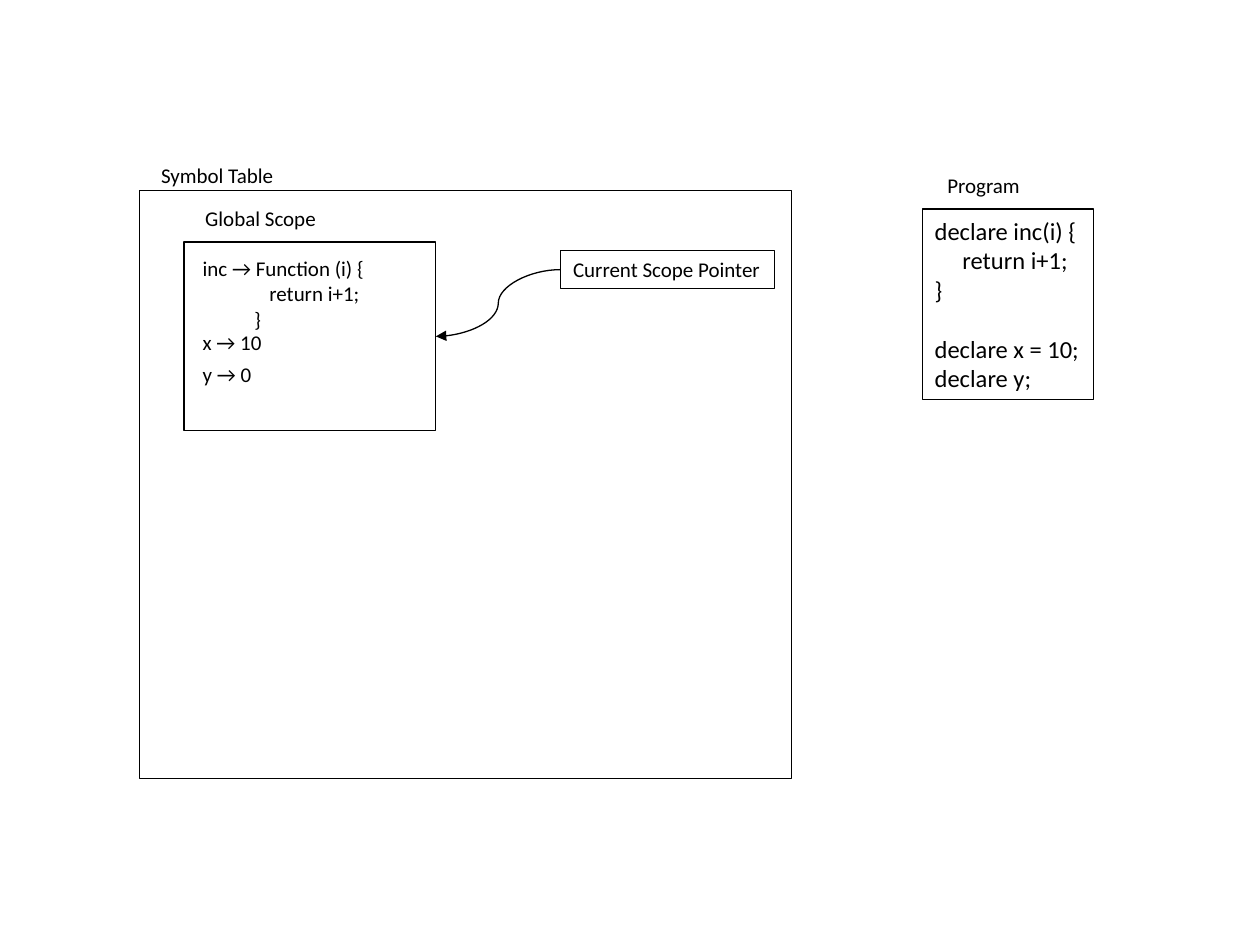
import pptx
import pptx.util
import pptx.dml.color
import pptx.enum.shapes
import pptx.enum.text
import pptx.oxml
import pptx.oxml.ns
import lxml.etree

COLUMNS, ROWS = 100, 75


def color(hex_string):
    return pptx.dml.color.RGBColor.from_string(hex_string)


class Diagram:
    """Style and current slide; positions are grid columns and rows."""

    font, ink, line_width = "Calibri", "000000", 0.75

    def __init__(self, presentation):
        self.slide = presentation.slides.add_slide(presentation.slide_layouts[6])
        self.column = presentation.slide_width / COLUMNS
        self.row = presentation.slide_height / ROWS

    def place(self, left, top, width, height):
        return (round(left * self.column), round(top * self.row),
                round(width * self.column), round(height * self.row))

    def outline(self, line):
        line.color.rgb = color(self.ink)
        line.width = pptx.util.Pt(self.line_width)

    def box(self, *area, lines=(), size=12):
        shape = self.slide.shapes.add_shape(
            pptx.enum.shapes.MSO_SHAPE.RECTANGLE, *self.place(*area))
        shape.shadow.inherit = False
        shape.fill.background()
        self.outline(shape.line)
        if lines:
            self.set_lines(shape.text_frame, lines, size)
        return shape

    def label(self, *area, lines, size=12):
        text_box = self.slide.shapes.add_textbox(*self.place(*area))
        self.set_lines(text_box.text_frame, lines, size)

    def set_lines(self, frame, lines, size):
        """Each line is (text, indent in inches, space before in points)."""
        frame.word_wrap = False
        frame.auto_size = pptx.enum.text.MSO_AUTO_SIZE.SHAPE_TO_FIT_TEXT
        frame.text = "\n".join(text for text, _, _ in lines)
        for paragraph, (_, indent, space) in zip(frame.paragraphs, lines):
            paragraph.alignment = pptx.enum.text.PP_ALIGN.LEFT
            paragraph.space_before = pptx.util.Pt(space)
            properties = paragraph._p.get_or_add_pPr()
            properties.set("marL", str(pptx.util.Inches(indent)))
            properties.set("indent", "0")
            font = paragraph.runs[0].font
            font.name, font.size = self.font, pptx.util.Pt(size)
            font.color.rgb = color(self.ink)

    def curved_arrow(self, source, source_site, target, target_site):
        arrow = self.slide.shapes.add_connector(
            pptx.enum.shapes.MSO_CONNECTOR.CURVE, 0, 0, 0, 0)
        arrow.begin_connect(source, source_site)
        arrow.end_connect(target, target_site)
        self.outline(arrow.line)
        qn = pptx.oxml.ns.qn
        lxml.etree.SubElement(arrow.line._get_or_add_ln(), qn("a:tailEnd"), type="triangle")
        lxml.etree.SubElement(arrow._element.spPr, qn("a:effectLst"))


def plain(text):
    return [(text, 0, 0)]


presentation = pptx.Presentation()
presentation.slide_width = pptx.util.Inches(10)
presentation.slide_height = pptx.util.Inches(7.5)
diagram = Diagram(presentation)

# Symbol table and program
diagram.box(11.1, 15.1, 51.7, 46.7)
diagram.box(73.2, 16.6, 13.6, 15.1, size=14, lines=[
    ("declare inc(i) {", 0, 0),
    ("return i+1;", 0.22, 0),
    ("}", 0, 0),
    ("declare x = 10;", 0, 17),
    ("declare y;", 0, 0),
])

# Global scope and the pointer to it
global_scope = diagram.box(14.6, 19.2, 20, 15)
scope_pointer = diagram.box(44.5, 19.9, 17, 3, lines=plain("Current Scope Pointer"))
LEFT_SITE, RIGHT_SITE = 1, 3
diagram.curved_arrow(scope_pointer, LEFT_SITE, global_scope, RIGHT_SITE)

# Headings
for heading, left, top, width in [
    ("Symbol Table", 11.8, 12.4, 11),
    ("Global Scope", 15.3, 15.8, 10.9),
    ("Program", 74.2, 13.2, 7.8),
]:
    diagram.label(left, top, width, 3, lines=plain(heading))

# Bindings in the global scope
for top, width, height, binding in [
    (19.8, 15.1, 7.1, [("inc → Function (i) {", 0, 0),
                       ("return i+1;", 0.53, 0),
                       ("}", 0.41, 0)]),
    (25.7, 6.9, 3, plain("x → 10")),
    (28.2, 6.1, 3, plain("y → 0")),
]:
    diagram.label(15.1, top, width, height, lines=binding)

presentation.save("out.pptx")
